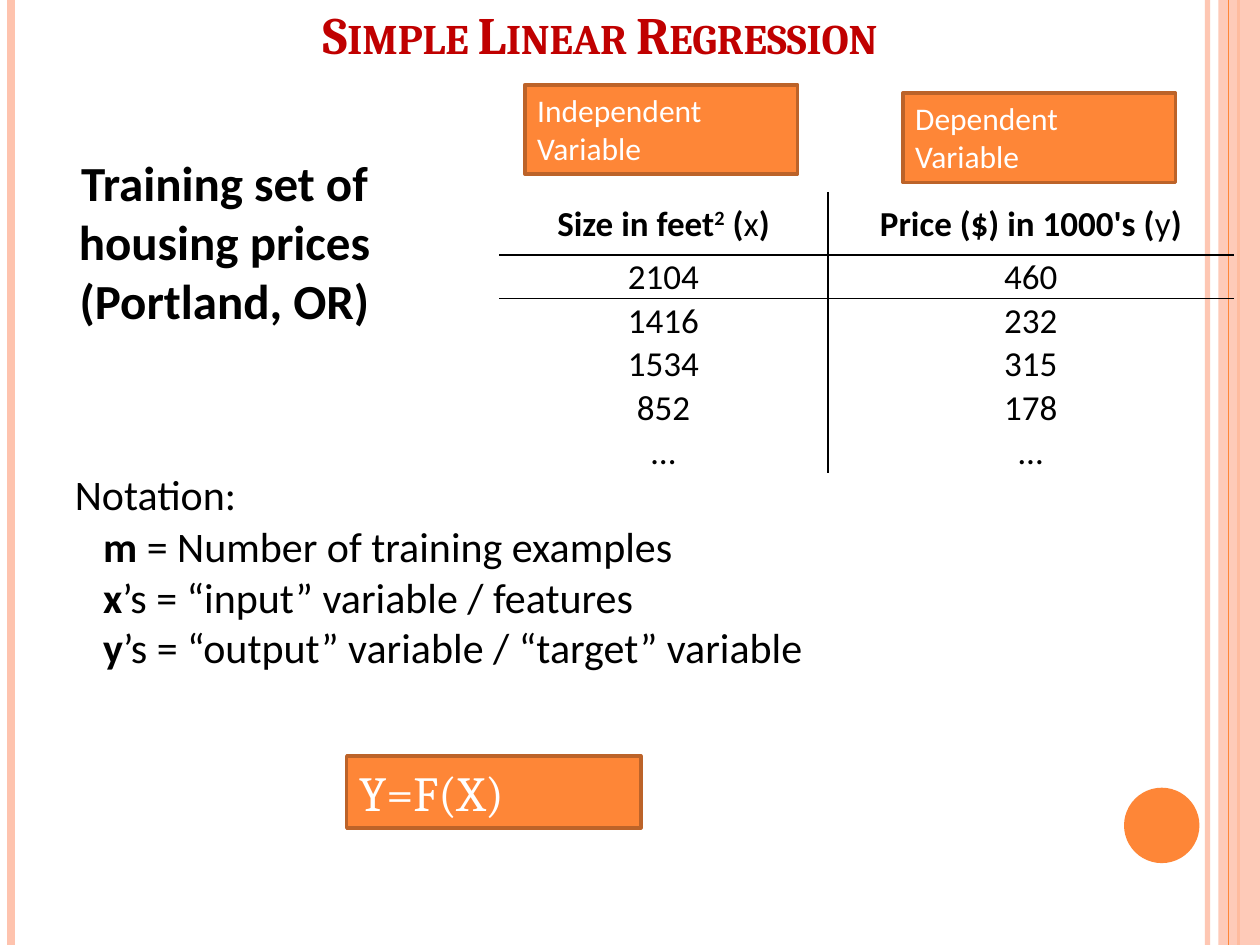
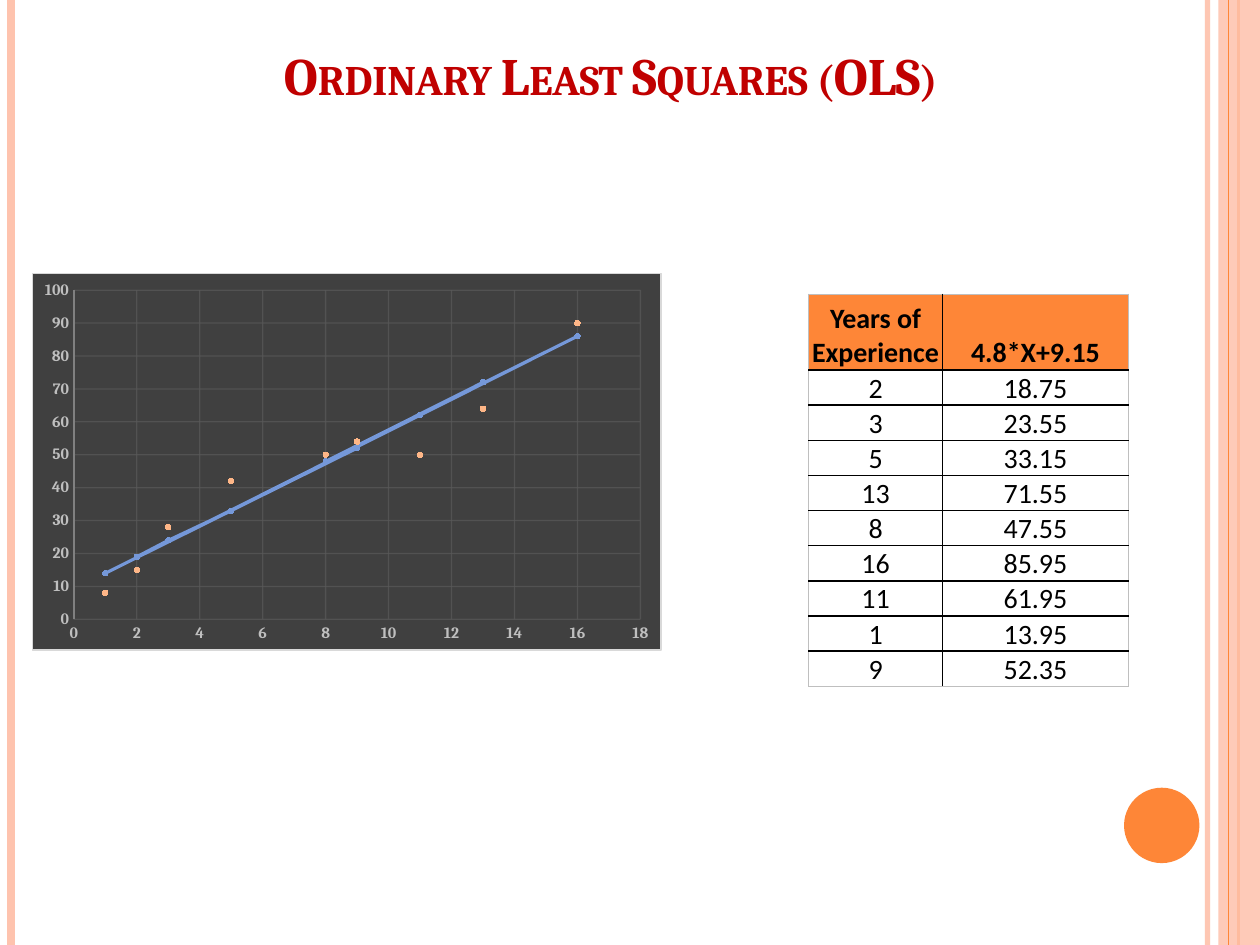
from dataclasses import dataclass

from lxml.etree import SubElement
from pptx import Presentation
from pptx.chart.data import XyChartData
from pptx.dml.color import RGBColor
from pptx.dml.fill import FillFormat
from pptx.dml.line import LineFormat
from pptx.enum.chart import XL_CHART_TYPE as ChartType
from pptx.enum.chart import XL_MARKER_STYLE as MarkerStyle
from pptx.enum.chart import XL_TICK_MARK as TickMark
from pptx.enum.shapes import MSO_CONNECTOR as Connector
from pptx.enum.shapes import MSO_SHAPE as Preset
from pptx.enum.text import MSO_ANCHOR as Anchor
from pptx.enum.text import MSO_AUTO_SIZE as AutoSize
from pptx.enum.text import PP_ALIGN as Align
from pptx.oxml import parse_xml
from pptx.oxml.ns import nsdecls, qn
from pptx.slide import Slide
from pptx.util import Cm, Pt

ORANGE, DARK_ORANGE, PEACH = "FE8637", "BC6329", "FEC3AE"
BLACK, WHITE, RED, CHARCOAL, SILVER = "000000", "FFFFFF", "C00000", "404040", "BFBFBF"
BODY_FONT, TITLE_FONT = "Calibri", "Cambria"
PAGE_WIDTH, PAGE_HEIGHT = 25.4, 19.05
NO_STYLE = "{2D5ABB26-0587-4C30-8999-92F81FD0307C}"


@dataclass(frozen=True)
class Box:
    left: float
    top: float
    width: float
    height: float

    def lengths(self) -> tuple:
        return Cm(self.left), Cm(self.top), Cm(self.width), Cm(self.height)


@dataclass(frozen=True)
class Span:
    text: str
    bold: bool | None = None
    raised: bool = False


@dataclass(frozen=True)
class Style:
    size: float
    color: str = BLACK
    font: str = BODY_FONT
    bold: bool = False
    align: Align = Align.LEFT


@dataclass(frozen=True)
class Rule:
    x: float
    color: str
    weight: float
    opacity: int = 100


@dataclass(frozen=True)
class Label:
    text: str
    box: Box
    style: Style


@dataclass(frozen=True)
class Border:
    color: str
    weight: float = 1


@dataclass(frozen=True)
class Grid:
    box: Box
    widths: tuple[float, ...]
    heights: tuple[float, ...]
    size: float
    header_anchor: Anchor
    header_fill: str | None = None


TITLE_STYLE = Style(30, RED, TITLE_FONT, True, Align.CENTER)
LABEL_STYLE = Style(18, WHITE)
BACK_RULES = (Rule(24.34, PEACH, 3, 93), Rule(0.22, PEACH, 4.5), Rule(24.97, ORANGE, 1.5))
FRONT_RULE = Rule(24.77, ORANGE, 0.75)

LABELS = (
    Label("Independent Variable", Box(10.58, 1.71, 5.5, 1.8), LABEL_STYLE),
    Label("Dependent Variable", Box(18.2, 1.88, 5.5, 1.8), LABEL_STYLE),
    Label("Y=F(X)", Box(6.99, 15.24, 5.93, 1.45), Style(28, WHITE, TITLE_FONT)),
)
HOUSING_HEADER = (
    (Span("Size in feet"), Span("2", raised=True), Span(" ("), Span("x", False), Span(")")),
    (Span("Price ($) in 1000's ("), Span("y", False), Span(")")),
)
HOUSING = (("2104", "460"), ("1416", "232"), ("1534", "315"), ("852", "178"), ("…", "…"))
NOTATION = (
    (Span("m", True), Span(" = Number of training examples")),
    (Span("x", True), Span("’s = “input” variable / features")),
    (Span("y", True), Span("’s = “output” variable / “target” variable")),
)
YEARS = (2, 3, 5, 13, 8, 16, 11, 1, 9)
OBSERVED = (15, 28, 42, 64, 50, 90, 50, 8, 54)
FITTED = tuple(4.8 * year + 9.15 for year in YEARS)


def rgb(color: str) -> RGBColor:
    return RGBColor.from_string(color)


def paint(fill: FillFormat, color: str, opacity: int = 100) -> None:
    fill.solid()
    fill.fore_color.rgb = rgb(color)
    if opacity < 100:
        solid = fill._xPr.find(qn("a:solidFill"))
        SubElement(solid[0], qn("a:alpha"), val=str(opacity * 1000))


def stroke(line: LineFormat, color: str, weight: float, opacity: int = 100) -> None:
    paint(line.fill, color, opacity)
    line.width = Pt(weight)


def set_font(font, style: Style) -> None:
    font.name, font.size, font.bold = style.font, Pt(style.size), style.bold
    font.color.rgb = rgb(style.color)


def write(para, spans: tuple[Span, ...], style: Style) -> None:
    para.alignment = style.align
    set_font(para.font, style)
    for span in spans:
        run = para.add_run()
        run.text = span.text
        if span.bold is not None:
            run.font.bold = span.bold
        if span.raised:
            run._r.get_or_add_rPr().set("baseline", "30000")


def add_text(page: Slide, box: Box, lines: tuple, style: Style, wrap: bool = False):
    frame = page.shapes.add_textbox(*box.lengths()).text_frame
    frame.word_wrap = wrap
    frame.auto_size = AutoSize.SHAPE_TO_FIT_TEXT
    for index, spans in enumerate(lines):
        para = frame.add_paragraph() if index else frame.paragraphs[0]
        write(para, spans, style)
    return frame


def add_title(page: Slide, text: str, left: float, top: float) -> None:
    frame = add_text(page, Box(left, top, 20.75, 1.32), ((Span(text),),), TITLE_STYLE, True)
    frame.margin_left = frame.margin_right = frame.margin_bottom = 0
    frame.margin_top = Cm(0.05)
    properties = frame.paragraphs[0].runs[0]._r.get_or_add_rPr()
    properties.set("cap", "small")
    properties.set("spc", "-5")


def add_shape(page: Slide, preset: Preset, box: Box, color: str, opacity: int = 100):
    shape = page.shapes.add_shape(preset, *box.lengths())
    shape.shadow.inherit = False
    paint(shape.fill, color, opacity)
    shape.line.fill.background()
    return shape


def add_label(page: Slide, label: Label) -> None:
    shape = add_shape(page, Preset.RECTANGLE, label.box, ORANGE)
    stroke(shape.line, DARK_ORANGE, 2)
    frame = shape.text_frame
    frame.word_wrap = True
    frame.vertical_anchor = Anchor.TOP
    write(frame.paragraphs[0], (Span(label.text),), label.style)


def add_rule(page: Slide, rule: Rule) -> None:
    line = page.shapes.add_connector(
        Connector.STRAIGHT, Cm(rule.x), Cm(0), Cm(rule.x), Cm(PAGE_HEIGHT)
    )
    stroke(line.line, rule.color, rule.weight, rule.opacity)
    SubElement(line._element.spPr, qn("a:effectLst"))


def add_page(deck) -> Slide:
    page = deck.slides.add_slide(deck.slide_layouts[6])
    for rule in BACK_RULES:
        add_rule(page, rule)
    add_shape(page, Preset.RECTANGLE, Box(24.56, 0, PAGE_WIDTH - 24.56, PAGE_HEIGHT), PEACH, 87)
    add_rule(page, FRONT_RULE)
    add_shape(page, Preset.OVAL, Box(22.66, 15.88, 1.52, 1.52), ORANGE)
    return page


def set_borders(cell, borders: dict[str, Border | None]) -> None:
    properties = cell._tc.get_or_add_tcPr()
    for side in "LRTB":
        border = borders.get(side)
        width = int(Pt(border.weight)) if border else 0
        line = SubElement(properties, qn(f"a:ln{side}"), w=str(width))
        if border:
            solid = SubElement(line, qn("a:solidFill"))
            SubElement(solid, qn("a:srgbClr"), val=border.color)
        else:
            SubElement(line, qn("a:noFill"))


def add_table(page: Slide, grid: Grid, header: tuple, body: tuple, borders_at) -> None:
    rows = (header, *(tuple((Span(value),) for value in values) for values in body))
    table = page.shapes.add_table(len(rows), len(header), *grid.box.lengths()).table
    table.first_row = table.horz_banding = False
    table._tbl.tblPr.find(qn("a:tableStyleId")).text = NO_STYLE
    for column, width in zip(table.columns, grid.widths):
        column.width = Cm(width)
    for row_index, (row, height) in enumerate(zip(table.rows, grid.heights)):
        row.height = Cm(height)
        is_header = row_index == 0
        style = Style(grid.size, bold=is_header, align=Align.CENTER)
        for column_index, cell in enumerate(row.cells):
            cell.margin_left = cell.margin_right = cell.margin_top = Cm(0.03)
            cell.margin_bottom = 0
            cell.vertical_anchor = grid.header_anchor if is_header else Anchor.BOTTOM
            write(cell.text_frame.paragraphs[0], rows[row_index][column_index], style)
            set_borders(cell, borders_at(row_index, column_index))
            if is_header and grid.header_fill:
                paint(cell.fill, grid.header_fill)
            else:
                cell.fill.background()


def housing_borders(row: int, column: int) -> dict[str, Border | None]:
    line = Border(BLACK)
    return {
        "R" if column == 0 else "L": line,
        "T": line if row in (1, 2) else None,
        "B": line if row in (0, 1) else None,
    }


def fitted_borders(row: int, column: int) -> dict[str, Border | None]:
    inner, outer = Border(BLACK), Border(SILVER, 0.75)
    return {
        "L": inner if column else outer,
        "R": outer if column else inner,
        "T": inner if row else outer,
        "B": inner if row < len(YEARS) else outer,
    }


def add_fit_chart(page: Slide, box: Box) -> None:
    data = XyChartData()
    for name, values in (("Series 1", OBSERVED), ("Series 2", FITTED)):
        series = data.add_series(name)
        for year, value in zip(YEARS, values):
            series.add_data_point(year, round(value))
    chart = page.shapes.add_chart(ChartType.XY_SCATTER, *box.lengths(), data).chart
    chart.has_legend = chart.has_title = False
    set_font(chart.font, Style(10, font=TITLE_FONT))
    frame = parse_xml(f"<c:spPr {nsdecls('c', 'a')}/>")
    chart._chartSpace.find(qn("c:txPr")).addprevious(frame)
    paint(FillFormat.from_fill_parent(frame), CHARCOAL)
    stroke(LineFormat(frame), "D9D9D9", 0.75)
    for axis, maximum, step in ((chart.category_axis, 18, 2), (chart.value_axis, 100, 10)):
        axis.minimum_scale, axis.maximum_scale, axis.major_unit = 0, maximum, step
        axis.major_tick_mark = axis.minor_tick_mark = TickMark.NONE
        axis.has_major_gridlines = True
        stroke(axis.major_gridlines.format.line, "595959", 0.75, 75)
        set_font(axis.tick_labels.font, Style(9, SILVER, TITLE_FONT, True))
    chart.category_axis.format.line.fill.background()
    stroke(chart.value_axis.format.line, "808080", 0.75)
    plot = chart.plots[0]
    plot.vary_by_categories = False
    for series, color in zip(plot.series, ("FEB687", "ACC1E8")):
        series.marker.style, series.marker.size = MarkerStyle.CIRCLE, 3
        paint(series.marker.format.fill, color)
        series.marker.format.line.fill.background()
    observed, fitted = plot.series
    observed.format.line.fill.background()
    stroke(fitted.format.line, "7598D9", 1.75)


def build_regression(deck) -> None:
    page = add_page(deck)
    lines = ((Span("Notation:"),), *NOTATION)
    notation = add_text(page, Box(1.26, 9.32, 15.32, 4.39), lines, Style(24))
    for para in notation.paragraphs[1:]:
        para._p.get_or_add_pPr().set("marL", str(Cm(0.57)))
    notation.paragraphs[1].space_before = Pt(1)
    grid = Grid(Box(10.06, 3.87, 14.81, 5.57), (6.63, 8.18), (1.27,) + (0.86,) * 5, 20, Anchor.MIDDLE)
    add_table(page, grid, HOUSING_HEADER, HOUSING, housing_borders)
    training = ("Training set of", "housing prices", "(Portland, OR)")
    style = Style(28, bold=True, align=Align.CENTER)
    add_text(page, Box(1.3, 2.96, 6.45, 3.84), tuple((Span(line),) for line in training), style)
    for label in LABELS:
        add_label(page, label)
    add_title(page, "Simple Linear Regression", 1.7, 0)


def build_least_squares(deck) -> None:
    page = add_page(deck)
    add_title(page, "Ordinary Least Squares (OLS)", 1.91, 0.82)
    add_fit_chart(page, Box(0.64, 5.5, 12.7, 7.62))
    grid = Grid(Box(16.3, 5.93, 6.45, 7.82), (2.7, 3.75), (1.53,) + (0.7,) * 9, 16, Anchor.BOTTOM, ORANGE)
    header = ((Span("Years of Experience"),), (Span("4.8*X+9.15"),))
    body = tuple((str(year), f"{value:.2f}") for year, value in zip(YEARS, FITTED))
    grid = Grid(grid.box, grid.widths, (1.53,) + (0.69,) * 9, grid.size, grid.header_anchor, ORANGE)
    add_table(page, grid, header, body, fitted_borders)


def main() -> None:
    deck = Presentation()
    deck.slide_width, deck.slide_height = Cm(PAGE_WIDTH), Cm(PAGE_HEIGHT)
    build_regression(deck)
    build_least_squares(deck)
    deck.save("out.pptx")


if __name__ == "__main__":
    main()
